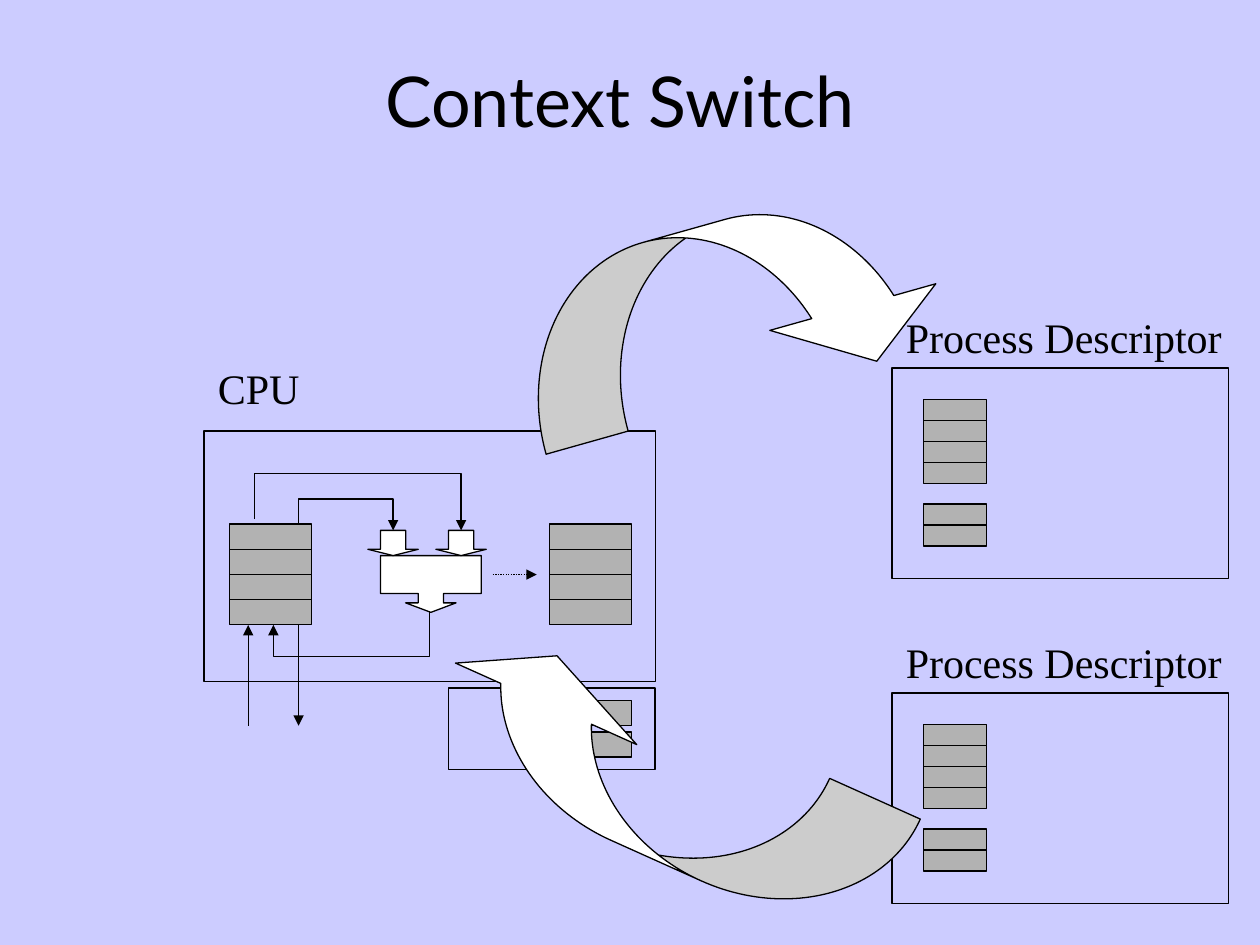
from pptx import Presentation
from pptx.dml.color import RGBColor
from pptx.enum.dml import MSO_LINE
from pptx.enum.shapes import MSO_CONNECTOR, MSO_SHAPE
from pptx.enum.text import MSO_ANCHOR, PP_ALIGN
from pptx.oxml.ns import qn
from pptx.util import Inches, Pt
from lxml.etree import SubElement


def color(hex_code):
    return RGBColor.from_string(hex_code)


def write(shape, text, font="Times New Roman", size=24, ink="000000",
          align=PP_ALIGN.LEFT, anchor=MSO_ANCHOR.TOP, wrap=False):
    frame = shape.text_frame
    frame.word_wrap = wrap
    frame.vertical_anchor = anchor
    paragraph = frame.paragraphs[0]
    paragraph.alignment = align
    run = paragraph.add_run()
    run.text = text
    run.font.name = font
    run.font.size = Pt(size)
    run.font.color.rgb = color(ink)


class Diagram:
    background = "CCCCFF"
    ink = "000000"
    register_fill = "B2B2B2"
    arrow_fill = "FFFFFF"
    line_width = 0.75

    def __init__(self, slide):
        self.slide = slide
        slide.background.fill.solid()
        slide.background.fill.fore_color.rgb = color(self.background)

    def style(self, shape, fill=None):
        shape.shadow.inherit = False
        if fill:
            shape.fill.solid()
            shape.fill.fore_color.rgb = color(fill)
        else:
            shape.fill.background()
        self.stroke(shape)

    def stroke(self, shape):
        shape.line.color.rgb = color(self.ink)
        shape.line.width = Pt(self.line_width)

    def arrowhead(self, shape):
        outline = shape._element.spPr.find(qn("a:ln"))
        SubElement(outline, qn("a:tailEnd"), type="triangle")

    def label(self, text, left, top, width, height, **text_format):
        box = self.slide.shapes.add_textbox(
            Inches(left), Inches(top), Inches(width), Inches(height))
        write(box, text, **text_format)

    def block(self, left, top, width, height, fill=None,
              preset=MSO_SHAPE.RECTANGLE, adjustments=(), rotation=0):
        shape = self.slide.shapes.add_shape(
            preset, Inches(left), Inches(top), Inches(width), Inches(height))
        for index, value in enumerate(adjustments):
            shape.adjustments[index] = value
        shape.rotation = rotation
        self.style(shape, fill)

    def registers(self, left, top, width, height, count, pitch=None):
        for row in range(count):
            self.block(left, top + row * (pitch or height), width, height,
                       self.register_fill)

    def bent_arrow(self, *points):
        start, *rest = [(Inches(x), Inches(y)) for x, y in points]
        builder = self.slide.shapes.build_freeform(*start)
        builder.add_line_segments(rest, close=False)
        shape = builder.convert_to_shape()
        self.style(shape)
        self.arrowhead(shape)

    def line(self, start, end, dash=None, pointed=True):
        connector = self.slide.shapes.add_connector(
            MSO_CONNECTOR.STRAIGHT, *[Inches(value) for value in (*start, *end)])
        self.stroke(connector)
        if dash:
            connector.line.dash_style = dash
        if pointed:
            self.arrowhead(connector)
        SubElement(connector._element.spPr, qn("a:effectLst"))

    def switch_arrow(self, left, top, width, height, rotation, adjustments):
        self.block(left, top, width, height, self.arrow_fill,
                   MSO_SHAPE.CURVED_DOWN_ARROW, adjustments, rotation)

    def process_descriptor(self, top):
        self.block(7.08, top, 2.67, 1.67)
        self.label("Process Descriptor", 7.09, top - 0.5, 2.71, 0.5)
        self.registers(7.33, top + 0.25, 0.5, 1 / 6, 4)
        self.registers(7.33, top + 1.08, 0.5, 1 / 6, 2)


def draw_cpu(diagram):
    diagram.registers(1.82, 4.16, 0.65, 0.2, 4)
    diagram.block(3.02, 4.41, 0.8, 0.45, diagram.arrow_fill,
                  MSO_SHAPE.DOWN_ARROW_CALLOUT, (0.445, 0.445, 0.167, 0.667))
    for operand_left in (2.92, 3.46):
        diagram.block(operand_left, 4.21, 0.4, 0.2, diagram.arrow_fill,
                      MSO_SHAPE.DOWN_ARROW, (0.5, 0.25))
    diagram.bent_arrow((2.37, 4.16), (2.37, 3.96), (3.12, 3.96), (3.12, 4.21))
    diagram.bent_arrow((2.02, 4.12), (2.02, 3.76), (3.66, 3.76), (3.66, 4.21))
    diagram.bent_arrow((3.41, 5.01), (3.41, 5.21), (2.17, 5.21), (2.17, 4.96))
    diagram.line((3.41, 4.86), (3.41, 5.21), pointed=False)
    diagram.registers(4.36, 4.16, 0.65, 0.2, 4)
    diagram.line((3.91, 4.56), (4.26, 4.56), dash=MSO_LINE.ROUND_DOT)
    diagram.line((1.97, 5.76), (1.97, 4.96))
    diagram.line((2.37, 4.96), (2.37, 5.76))
    diagram.block(1.62, 3.42, 3.58, 1.99)
    diagram.registers(4.36, 5.56, 0.65, 0.2, 2, pitch=0.25)
    diagram.block(3.56, 5.46, 1.64, 0.65)
    diagram.label("CPU", 1.63, 2.83, 0.85, 0.5)


def main():
    presentation = Presentation()
    presentation.slide_width = Inches(10)
    presentation.slide_height = Inches(7.5)
    diagram = Diagram(presentation.slides.add_slide(presentation.slide_layouts[6]))
    diagram.label("Context Switch", 0.67, 0.33, 8.5, 0.92, font="Lato", size=40,
                  align=PP_ALIGN.CENTER, anchor=MSO_ANCHOR.MIDDLE, wrap=True)
    draw_cpu(diagram)
    for descriptor_top in (2.92, 5.5):
        diagram.process_descriptor(descriptor_top)
    diagram.switch_arrow(3.29, 5.64, 3.95, 1.16, 204.2, (0.68, 1.36, 0.33))
    diagram.switch_arrow(4.08, 1.76, 3.41, 1.41, 344.3, (0.48, 0.97, 0.33))
    presentation.save("out.pptx")


if __name__ == "__main__":
    main()
